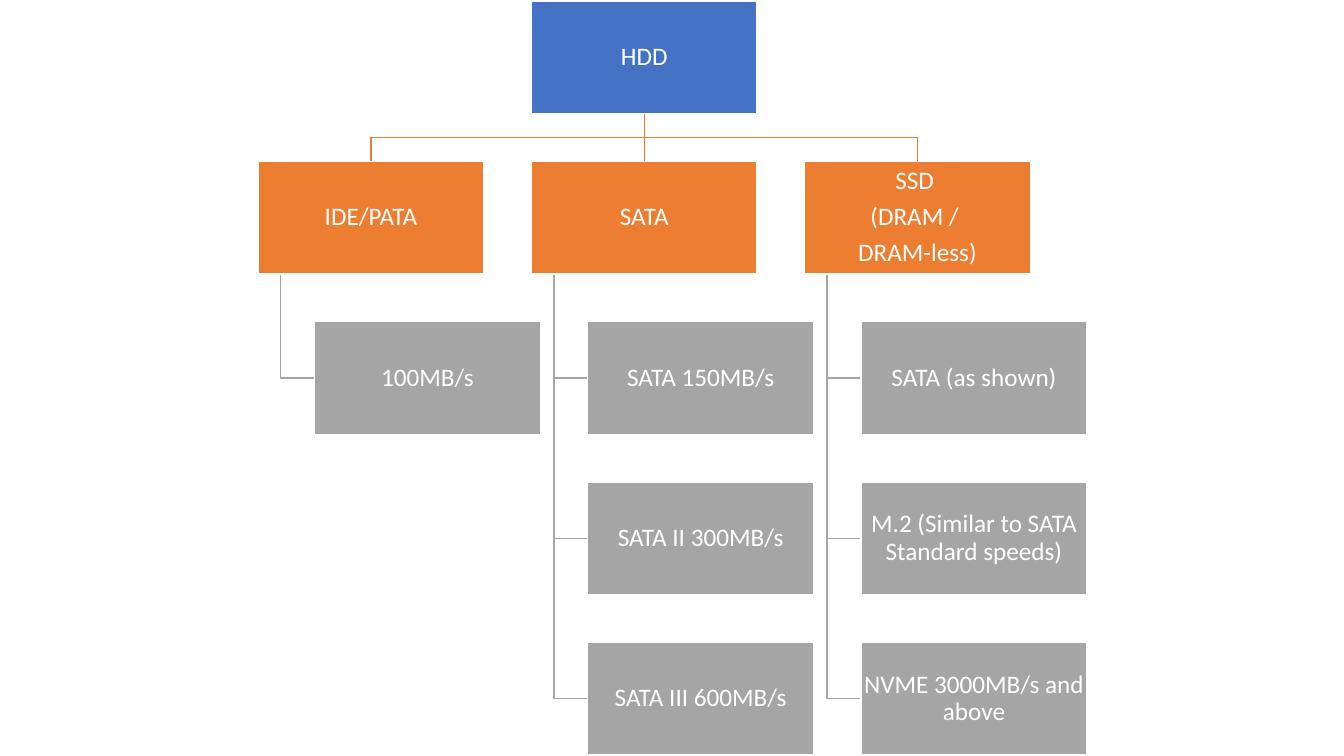
from pptx import Presentation
from pptx.dml.color import RGBColor
from pptx.enum.shapes import MSO_CONNECTOR, MSO_SHAPE
from pptx.enum.text import MSO_ANCHOR, PP_ALIGN
from pptx.oxml.ns import qn
from pptx.util import Inches, Pt
from lxml import etree

RECT = MSO_SHAPE.RECTANGLE
STRAIGHT = MSO_CONNECTOR.STRAIGHT
MIDDLE = MSO_ANCHOR.MIDDLE
CENTER = PP_ALIGN.CENTER

WHITE = RGBColor(0xFF, 0xFF, 0xFF)
BLUE = RGBColor(0x44, 0x72, 0xC4)
ORANGE = RGBColor(0xED, 0x7D, 0x31)
GRAY = RGBColor(0xA5, 0xA5, 0xA5)

# Grid in inches: three columns, five rows
BOX_W, BOX_H = 2.24, 1.12
COL_STEP, ROW_STEP = 2.71, 1.59
LEFT, TOP = 2.56, 0.01
INDENT = BOX_W / 4    # shift of the child boxes
TRUNK = BOX_W / 10    # shift of the line down to the children
MID_COL = 1

ROOT = "HDD"
BRANCHES = [
    (["IDE/PATA"], ["100MB/s"]),
    (["SATA"], ["SATA 150MB/s", "SATA II 300MB/s", "SATA III 600MB/s"]),
    (["SSD ", "(DRAM / ", "DRAM-less)"],
     ["SATA (as shown)", "M.2 (Similar to SATA Standard speeds)",
      "NVME 3000MB/s and above"]),
]


def col_x(col):
    return LEFT + col * COL_STEP


def row_y(row):
    return TOP + row * ROW_STEP


def add_box(s, x, row, lines, color):
    sp = s.shapes.add_shape(RECT, Inches(x), Inches(row_y(row)),
                            Inches(BOX_W), Inches(BOX_H))
    sp.shadow.inherit = False
    sp.fill.solid()
    sp.fill.fore_color.rgb = color
    sp.line.color.rgb = WHITE
    sp.line.width = Pt(1)
    tf = sp.text_frame
    tf.word_wrap = True
    tf.vertical_anchor = MIDDLE
    tf.margin_left = tf.margin_right = Inches(0.01)
    tf.margin_top = tf.margin_bottom = Inches(0.01)
    for i, line in enumerate(lines):
        p = tf.paragraphs[0] if i == 0 else tf.add_paragraph()
        p.alignment = CENTER
        p.line_spacing = 0.9
        p.space_after = Pt(6.3)
        r = p.add_run()
        r.text = line
        r.font.name = "Calibri"
        r.font.size = Pt(18)
        r.font.color.rgb = WHITE
    return sp


def add_elbow(s, points, color):
    start, *rest = [(Inches(x), Inches(y)) for x, y in points]
    builder = s.shapes.build_freeform(*start)
    builder.add_line_segments(rest, close=False)
    sp = builder.convert_to_shape()
    sp.shadow.inherit = False
    sp.fill.background()
    sp.line.color.rgb = color
    sp.line.width = Pt(1)


def add_root_elbow(s, col):
    root_x, branch_x = (col_x(c) + BOX_W / 2 for c in (MID_COL, col))
    top, bottom = row_y(0) + BOX_H, row_y(1)
    middle = (top + bottom) / 2
    add_elbow(s, [(root_x, top), (root_x, middle),
                  (branch_x, middle), (branch_x, bottom)], ORANGE)


def add_child_elbow(s, col, row):
    x, y = col_x(col) + TRUNK, row_y(row) + BOX_H / 2
    add_elbow(s, [(x, row_y(1) + BOX_H), (x, y), (col_x(col) + INDENT, y)], GRAY)


def join_boxes(s, upper, lower):
    line = s.shapes.add_connector(STRAIGHT, 0, 0, 0, 0)
    line.begin_connect(upper, 2)
    line.end_connect(lower, 0)
    line.line.color.rgb = ORANGE
    line.line.width = Pt(1)
    etree.SubElement(line._element.spPr, qn("a:effectLst"))


def main():
    prs = Presentation()
    prs.slide_width, prs.slide_height = Inches(13.33), Inches(7.5)
    s = prs.slides.add_slide(prs.slide_layouts[6])

    # Bent lines behind the boxes
    for col, (_, children) in enumerate(BRANCHES):
        if col != MID_COL:
            add_root_elbow(s, col)
        for row in range(2, 2 + len(children)):
            add_child_elbow(s, col, row)

    # Boxes of the tree
    root = add_box(s, col_x(MID_COL), 0, [ROOT], BLUE)
    for col, (title, children) in enumerate(BRANCHES):
        branch = add_box(s, col_x(col), 1, title, ORANGE)
        if col == MID_COL:
            join_boxes(s, root, branch)
        for row, text in enumerate(children, start=2):
            add_box(s, col_x(col) + INDENT, row, [text], GRAY)

    prs.save("out.pptx")


if __name__ == "__main__":
    main()
